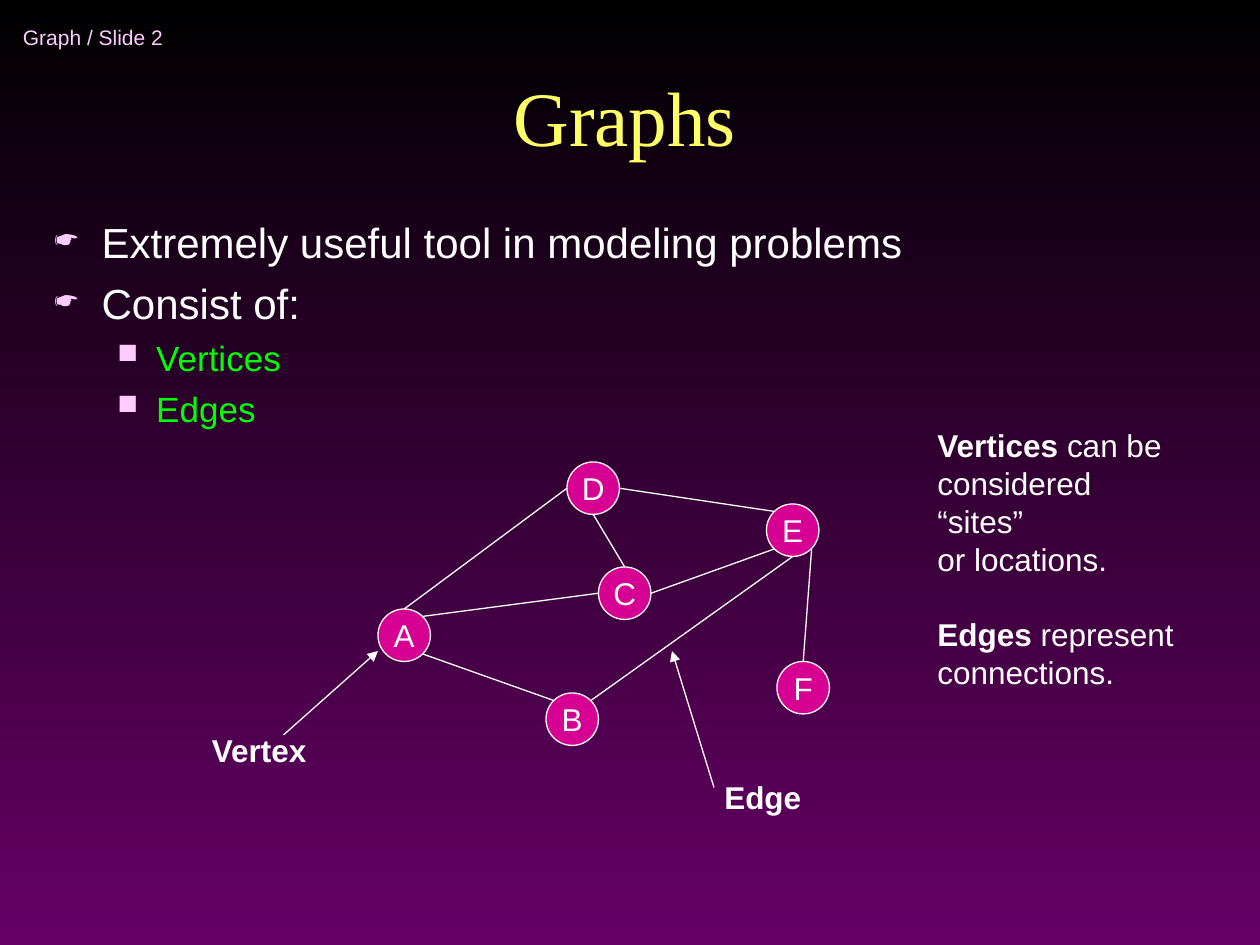
from dataclasses import dataclass
from enum import Enum
import math
from typing import NamedTuple

import pptx
import pptx.dml.color
import pptx.enum.shapes
import pptx.enum.text
import pptx.oxml.ns
import pptx.util
from lxml import etree

PX = 7620  # EMU in one px, 120 px to the inch
NODE_SIZE = 50
ALIGN = pptx.enum.text.PP_ALIGN
ANCHOR = pptx.enum.text.MSO_ANCHOR


@dataclass(frozen=True)
class Theme:
    top: str = "000000"
    bottom: str = "660066"
    title: str = "FFFF66"
    accent: str = "FFCCFF"
    text: str = "FFFFFF"
    item: str = "00FF00"
    node: str = "D60093"
    sans: str = "Arial"
    serif: str = "Times New Roman"
    title_size: int = 44
    body_size: int = 24
    item_size: int = 20
    label_size: int = 18
    header_size: int = 12
    line_width: float = 0.75


THEME = Theme()


class Site(Enum):
    """Points on a circle, as clockwise degrees from the right."""
    RIGHT = 0
    BOTTOM_RIGHT = 45
    BOTTOM = 90
    BOTTOM_LEFT = 135
    LEFT = 180
    TOP_LEFT = 225
    TOP = 270
    TOP_RIGHT = 315


class Point(NamedTuple):
    x: int
    y: int


class Frame(NamedTuple):
    left: int
    top: int
    width: int
    height: int


class Edge(NamedTuple):
    start: str
    start_site: Site
    end: str
    end_site: Site


class Span(NamedTuple):
    text: str
    bold: bool = False


@dataclass(frozen=True)
class Level:
    mark: str
    mark_percent: int
    margin: int
    indent: int
    size: int
    color: str
    before: int


TOPIC = Level("☛", 75, 45, -45, THEME.body_size, THEME.text, 6)
DETAIL = Level("■", 80, 97, -37, THEME.item_size, THEME.item, 5)

BULLETS = [
    (TOPIC, "Extremely useful tool in modeling problems"),
    (TOPIC, "Consist of:"),
    (DETAIL, "Vertices"),
    (DETAIL, "Edges"),
]
NODES = {
    "D": Point(540, 440), "E": Point(730, 480), "A": Point(360, 580),
    "C": Point(570, 540), "F": Point(740, 630), "B": Point(520, 660),
}
EDGES = [
    Edge("A", Site.BOTTOM_RIGHT, "B", Site.TOP_LEFT),
    Edge("A", Site.TOP_RIGHT, "C", Site.LEFT),
    Edge("D", Site.LEFT, "A", Site.TOP),
    Edge("D", Site.BOTTOM, "C", Site.TOP),
    Edge("D", Site.RIGHT, "E", Site.TOP_LEFT),
    Edge("C", Site.RIGHT, "E", Site.BOTTOM_LEFT),
    Edge("F", Site.TOP, "E", Site.BOTTOM_RIGHT),
    Edge("E", Site.BOTTOM, "B", Site.TOP_RIGHT),
]
POINTERS = [
    (Point(270, 700), Point(360, 620)),
    (Point(680, 750), Point(640, 620)),
]
LABELS = [
    ("Vertex", Frame(190, 690, 115, 48)),
    ("Edge", Frame(678, 735, 97, 48)),
]
NOTES = [
    [Span("Vertices", True), Span(" can be")],
    [Span("considered “sites”")],
    [Span("or locations.")],
    [Span("Edges", True), Span(" represent")],
    [Span("connections.")],
]


def emu(*lengths: int) -> list[int]:
    return [length * PX for length in lengths]


def rgb(color: str) -> pptx.dml.color.RGBColor:
    return pptx.dml.color.RGBColor.from_string(color)


def add_span(para, text: str, size: int, color: str = THEME.text,
             font: str = THEME.sans, bold: bool = False) -> None:
    span = para.add_run()
    span.text = text
    span.font.size = pptx.util.Pt(size)
    span.font.name = font
    span.font.bold = bold
    span.font.color.rgb = rgb(color)


def add_box(page, frame: Frame, wrap: bool = False):
    text_frame = page.shapes.add_textbox(*emu(*frame)).text_frame
    text_frame.word_wrap = wrap
    return text_frame


def next_para(text_frame, index: int):
    return text_frame.add_paragraph() if index else text_frame.paragraphs[0]


def add_bullet(para, level: Level) -> None:
    props = para._p.get_or_add_pPr()
    props.set("marL", str(level.margin * PX))
    props.set("indent", str(level.indent * PX))
    qn = pptx.oxml.ns.qn
    color = etree.SubElement(props, qn("a:buClr"))
    etree.SubElement(color, qn("a:srgbClr"), val=THEME.accent)
    etree.SubElement(props, qn("a:buSzPct"), val=str(level.mark_percent * 1000))
    etree.SubElement(props, qn("a:buChar"), char=level.mark)


def add_node(page, name: str, corner: Point) -> None:
    node = page.shapes.add_shape(
        pptx.enum.shapes.MSO_SHAPE.OVAL, *emu(*corner, NODE_SIZE, NODE_SIZE))
    node.shadow.inherit = False
    node.fill.solid()
    node.fill.fore_color.rgb = rgb(THEME.node)
    node.line.color.rgb = rgb(THEME.text)
    node.line.width = pptx.util.Pt(THEME.line_width)
    node.text_frame.word_wrap = False
    node.text_frame.vertical_anchor = ANCHOR.MIDDLE
    para = node.text_frame.paragraphs[0]
    para.alignment = ALIGN.CENTER
    add_span(para, name, THEME.label_size)


def site_point(name: str, site: Site) -> Point:
    corner, radius = NODES[name], NODE_SIZE / 2
    angle = math.radians(site.value)
    return Point(round(corner.x + radius * (1 + math.cos(angle))),
                 round(corner.y + radius * (1 + math.sin(angle))))


def add_line(page, start: Point, end: Point, arrow: bool = False) -> None:
    line = page.shapes.add_connector(
        pptx.enum.shapes.MSO_CONNECTOR.STRAIGHT, *emu(*start, *end))
    line.line.color.rgb = rgb(THEME.text)
    line.line.width = pptx.util.Pt(THEME.line_width)
    qn = pptx.oxml.ns.qn
    if arrow:
        etree.SubElement(line.line._get_or_add_ln(), qn("a:tailEnd"), type="triangle")
    etree.SubElement(line._element.spPr, qn("a:effectLst"))


def main() -> None:
    deck = pptx.Presentation()
    deck.slide_width, deck.slide_height = emu(1200, 900)
    page = deck.slides.add_slide(deck.slide_layouts[5])

    # Background
    fill = page.background.fill
    fill.gradient()
    fill.gradient_angle = 270
    for stop, color in zip(fill.gradient_stops, (THEME.top, THEME.bottom)):
        stop.color.rgb = rgb(color)

    # Header and title
    header = add_box(page, Frame(10, 10, 330, 50), wrap=True)
    header.vertical_anchor = ANCHOR.MIDDLE
    add_span(header.paragraphs[0], "Graph / Slide 2", THEME.header_size, THEME.accent)
    title = page.shapes.title
    title.left, title.top, title.width, title.height = emu(80, 30, 1030, 130)
    title.text_frame.auto_size = pptx.enum.text.MSO_AUTO_SIZE.NONE
    title.text_frame.vertical_anchor = ANCHOR.BOTTOM
    para = title.text_frame.paragraphs[0]
    para.alignment = ALIGN.CENTER
    add_span(para, "Graphs", THEME.title_size, THEME.title, THEME.serif)

    # Bullets
    body = add_box(page, Frame(40, 200, 1130, 616), wrap=True)
    for index, (level, text) in enumerate(BULLETS):
        para = next_para(body, index)
        add_bullet(para, level)
        if index:
            para.space_before = pptx.util.Pt(level.before)
        add_span(para, text, level.size, level.color)

    # Graph
    for name, corner in NODES.items():
        add_node(page, name, corner)
    for edge in EDGES:
        add_line(page, site_point(edge.start, edge.start_site),
                 site_point(edge.end, edge.end_site))

    # Pointers and their labels
    for start, end in POINTERS:
        add_line(page, start, end, arrow=True)
    for text, frame in LABELS:
        add_span(add_box(page, frame).paragraphs[0], text, THEME.label_size, bold=True)

    # Explanation, with a one-line gap before the second term
    notes = add_box(page, Frame(881, 400, 260, 228))
    for index, spans in enumerate(NOTES):
        para = next_para(notes, index)
        if index and spans[0].bold:
            para.space_before = pptx.util.Pt(21.6)
        for span in spans:
            add_span(para, span.text, THEME.label_size, bold=span.bold)

    deck.save("out.pptx")


if __name__ == "__main__":
    main()
